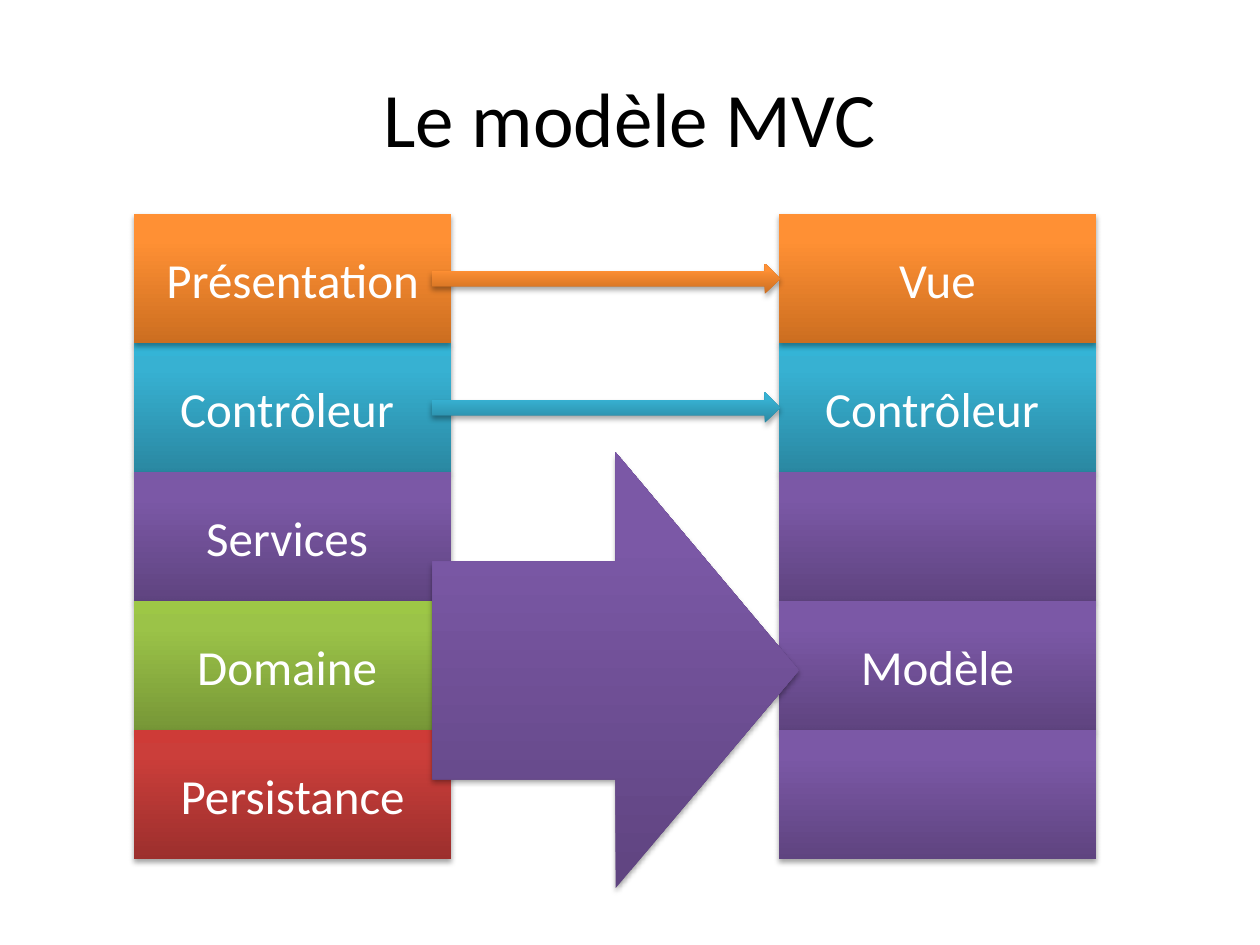
from copy import deepcopy

from lxml.etree import SubElement
from pptx import Presentation
from pptx.dml.color import RGBColor
from pptx.enum.shapes import MSO_SHAPE
from pptx.enum.text import MSO_ANCHOR, PP_ALIGN
from pptx.oxml.ns import qn
from pptx.util import Pt

FONT = "Calibri"
BLACK = RGBColor(0x00, 0x00, 0x00)
WHITE = RGBColor(0xFF, 0xFF, 0xFF)
ORANGE = RGBColor(0xCC, 0x6E, 0x20), RGBColor(0xFF, 0x90, 0x34), RGBColor(0xFF, 0x91, 0x36)
BLUE = RGBColor(0x2A, 0x88, 0xA2), RGBColor(0x37, 0xB1, 0xD2), RGBColor(0x34, 0xB4, 0xD6)
PURPLE = RGBColor(0x5F, 0x44, 0x80), RGBColor(0x7B, 0x58, 0xA6), RGBColor(0x7C, 0x57, 0xA8)
GREEN = RGBColor(0x77, 0x97, 0x37), RGBColor(0x9B, 0xC3, 0x48), RGBColor(0x9D, 0xC7, 0x46)
RED = RGBColor(0x9C, 0x2F, 0x2D), RGBColor(0xCB, 0x3E, 0x3A), RGBColor(0xCE, 0x3B, 0x37)

STACK_TOP = 122.4
LAYER_WIDTH = 181.4
LAYER_HEIGHT = 73.7
LAYERS_LEFT = 76.5
MVC_LEFT = 445
ARROW_LEFT = 247
THIN_ARROW_HEIGHT = 17.3

LAYERS = [
    ("Présentation", ORANGE),
    ("Contrôleur ", BLUE),
    ("Services ", PURPLE),
    ("Domaine ", GREEN),
    ("Persistance", RED),
]
MVC = [
    ("Vue", ORANGE),
    ("Contrôleur ", BLUE),
    ("", PURPLE),
    ("Modèle", PURPLE),
    ("", PURPLE),
]


def style_paragraph(paragraph, size, color):
    """Centre a paragraph and set its font."""
    paragraph.alignment = PP_ALIGN.CENTER
    paragraph.font.name = FONT
    paragraph.font.size = Pt(size)
    paragraph.font.color.rgb = color


def add_shadow(shape):
    """Give a shape a soft shadow below it."""
    shape.shadow.inherit = False
    effects = shape._element.spPr.find(qn("a:effectLst"))
    shadow = SubElement(
        effects, qn("a:outerShdw"), blurRad=str(Pt(3.1)), dist=str(Pt(1.8)),
        dir="5400000", rotWithShape="0",
    )
    tint = SubElement(shadow, qn("a:srgbClr"), val="000000")
    SubElement(tint, qn("a:alpha"), val="35000")


def add_gradient_shape(shapes, preset, left, top, width, height, colors):
    """Add a borderless shape shaded from bottom to top."""
    shape = shapes.add_shape(preset, Pt(left), Pt(top), Pt(width), Pt(height))
    shape.line.fill.background()
    shape.fill.gradient()
    shape.fill.gradient_angle = 90
    stop_list = shape._element.spPr.find(".//" + qn("a:gsLst"))
    stop_list.append(deepcopy(stop_list[-1]))
    for stop, position, color in zip(shape.fill.gradient_stops, (0, 0.8, 1), colors):
        stop.position = position
        stop.color.rgb = color
    add_shadow(shape)
    return shape


def add_stack(slide, left, layers):
    """Add a grouped column of layers, the top one in front."""
    stack = slide.shapes.add_group_shape()
    for row in (1, 2, 3, 4, 0):
        label, colors = layers[row]
        layer = add_gradient_shape(
            stack.shapes, MSO_SHAPE.RECTANGLE, left, STACK_TOP + row * LAYER_HEIGHT,
            LAYER_WIDTH, LAYER_HEIGHT, colors,
        )
        if label:
            frame = layer.text_frame
            frame.text = label
            frame.vertical_anchor = MSO_ANCHOR.MIDDLE
            style_paragraph(frame.paragraphs[0], 28, WHITE)


def add_arrow(slide, top, width, height, colors):
    """Add an arrow from the layers to the MVC column."""
    add_gradient_shape(
        slide.shapes, MSO_SHAPE.RIGHT_ARROW, ARROW_LEFT, top, width, height, colors
    )


def add_title(slide, text):
    """Fill and place the title."""
    title = slide.shapes.title
    title.left, title.top, title.width, title.height = Pt(36), Pt(21.6), Pt(648), Pt(90)
    title.text_frame.text = text
    title.text_frame.vertical_anchor = MSO_ANCHOR.MIDDLE
    style_paragraph(title.text_frame.paragraphs[0], 44, BLACK)


def main():
    """Build the slide and save it."""
    presentation = Presentation()
    presentation.slide_width, presentation.slide_height = Pt(720), Pt(540)
    slide = presentation.slides.add_slide(presentation.slide_layouts[5])
    add_title(slide, "Le modèle MVC")
    add_stack(slide, MVC_LEFT, MVC)
    add_stack(slide, LAYERS_LEFT, LAYERS)
    for row, colors in enumerate((ORANGE, BLUE)):
        middle = STACK_TOP + (row + 0.5) * LAYER_HEIGHT
        add_arrow(slide, middle - THIN_ARROW_HEIGHT / 2, 198.7, THIN_ARROW_HEIGHT, colors)
    add_arrow(slide, 258.5, 209.5, 249.1, PURPLE)
    presentation.save("out.pptx")


if __name__ == "__main__":
    main()
